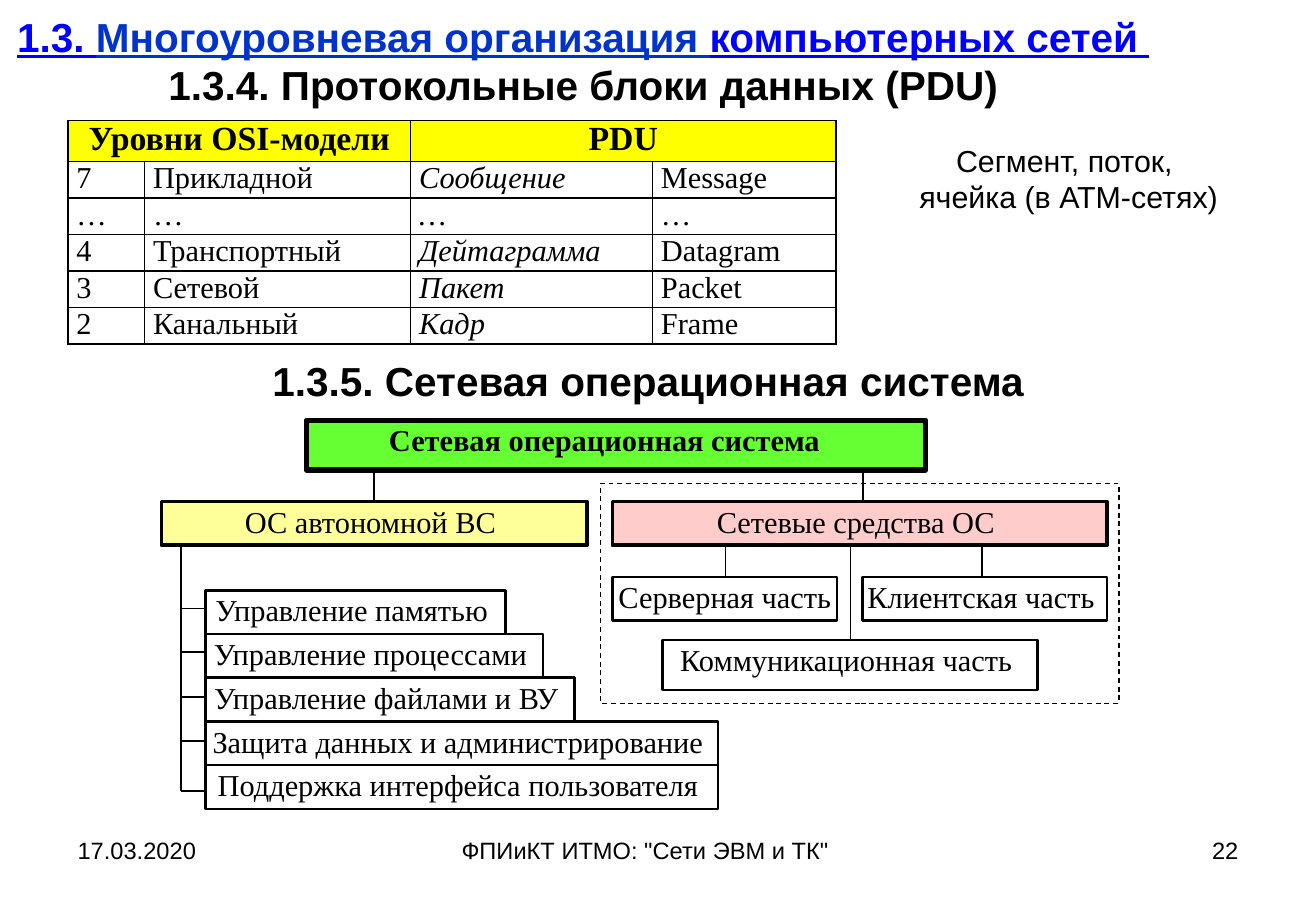
from lxml import etree
from pptx import Presentation
from pptx import util as u
from pptx.dml.color import RGBColor
from pptx.enum import dml, shapes, text
from pptx.oxml.ns import qn

SERIF = "Times New Roman"
LEFT, MID, RIGHT = text.PP_ALIGN.LEFT, text.PP_ALIGN.CENTER, text.PP_ALIGN.RIGHT


def rgb(code):
    return RGBColor.from_string(code)


def write(para, words, size, face="Arial", code="000000", bold=False, align=None):
    """Add one run to a paragraph and return its font."""
    if align is not None:
        para.alignment = align
    run = para.add_run()
    run.text = words
    font = run.font
    font.size, font.name, font.bold = u.Pt(size), face, bold
    font.color.rgb = rgb(code)
    return font


deck = Presentation()
deck.slide_width, deck.slide_height = u.Inches(10.83), u.Inches(7.5)
slide = deck.slides.add_slide(deck.slide_layouts[5])
items = slide.shapes

# Title
title = items.title
title.left, title.top = u.Inches(0), u.Inches(0.01)
title.width, title.height = u.Inches(9.6), u.Inches(0.97)
frame = title.text_frame
frame.auto_size = text.MSO_AUTO_SIZE.NONE
frame.vertical_anchor = text.MSO_ANCHOR.MIDDLE
head = frame.paragraphs[0]
for words, code in [
    ("1.3. ", "0000FF"),
    ("Многоуровневая организация ", "0033CC"),
    ("компьютерных сетей ", "0000FF"),
]:
    write(head, words, 24, code=code, bold=True, align=MID).underline = True
head.add_line_break()
write(head, "1.3.4. Протокольные блоки данных (PDU)", 24, bold=True).underline = False

# Plain text: place, lines, size, bold, alignment
for place, lines, size, bold, align in [
    ((0.54, 6.83, 2.53, 0.52), ["17.03.2020"], 14, False, LEFT),
    ((3.7, 6.83, 3.43, 0.52), ['ФПИиКТ ИТМО: "Сети ЭВМ и ТК"'], 14, False, LEFT),
    ((7.76, 6.83, 2.53, 0.52), ["22"], 14, False, RIGHT),
    ((7.36, 1.12, 2.87, 0.71), ["Сегмент, поток, ", "ячейка (в АТМ-сетях)"], 18, False, MID),
    ((2.11, 2.88, 6.45, 0.5), ["1.3.5. Сетевая операционная система"], 24, True, MID),
]:
    frame = items.add_textbox(*map(u.Inches, place)).text_frame
    frame.word_wrap = True
    for i, words in enumerate(lines):
        para = frame.add_paragraph() if i else frame.paragraphs[0]
        write(para, words, size, bold=bold, align=align)

# Table of PDU names
rows = [
    ("Уровни OSI-модели", "", "PDU", ""),
    ("7", "Прикладной", "Сообщение", "Message"),
    ("…", "…", "…", "…"),
    ("4", "Транспортный", "Дейтаграмма", "Datagram"),
    ("3", "Сетевой", "Пакет", "Packet"),
    ("2", "Канальный", "Кадр", "Frame"),
]
table = items.add_table(6, 4, *map(u.Inches, (0.56, 0.99, 6.32, 1.74))).table
table.horz_banding = False
for col, width in zip(table.columns, (0.63, 2.19, 1.99, 1.51)):
    col.width = u.Inches(width)
for r, row in enumerate(rows):
    table.rows[r].height = u.Inches(0.28 if r else 0.34)
    for c, words in enumerate(row):
        cell = table.cell(r, c)
        cell.margin_left = cell.margin_right = u.Inches(0.07)
        cell.margin_top = cell.margin_bottom = 0
        props = cell._tc.get_or_add_tcPr()
        for side in ("lnL", "lnR", "lnT", "lnB"):
            edge = etree.SubElement(props, qn("a:" + side), w=str(u.Pt(1)))
            paint = etree.SubElement(edge, qn("a:solidFill"))
            etree.SubElement(paint, qn("a:srgbClr"), val="000000")
        if r:
            cell.fill.background()
        else:
            cell.fill.solid()
            cell.fill.fore_color.rgb = rgb("FFFF00")
        if words:
            font = write(cell.text_frame.paragraphs[0], words, 18 if r else 20, SERIF,
                         bold=r == 0, align=LEFT if r else MID)
            font.italic = r > 0 and c == 2
for c in (0, 2):
    table.cell(0, c).merge(table.cell(0, c + 1))

# Boxes: words, place, fill, line width, side inset
boxes = [
    ("Сетевая операционная система", (2.52, 3.46, 5.1, 0.41), "66FF33", 3, 0.06),
    ("ОС автономной ВС ", (1.33, 4.13, 3.5, 0.36), "FFFF99", 2.25, 0.06),
    ("Сетевые средства ОС ", (5.04, 4.13, 4.07, 0.36), "FFCCCC", 2.25, 0.06),
    ("Серверная часть ", (5.04, 4.75, 1.85, 0.36), "FFFFFF", 1.5, 0.02),
    ("Клиентская часть ", (7.1, 4.75, 2.01, 0.36), "FFFFFF", 1.5, 0.02),
    ("Коммуникационная часть ", (5.45, 5.27, 3.09, 0.41), "FFFFFF", 1.5, 0.06),
]
tasks = [
    ("Управление памятью ", 2.47),
    ("Управление процессами ", 2.78),
    ("Управление файлами и ВУ ", 3.04),
    ("Защита данных и администрирование ", 4.22),
    ("Поддержка интерфейса пользователя ", 4.22),
]
for i, (words, width) in enumerate(tasks):
    boxes.append((words, (1.69, 4.86 + 0.36 * i, width, 0.36), "FFFFFF", 1.5, 0.02))
boxes.append(("", (4.94, 3.98, 4.27, 1.81), None, 0.75, 0))

for words, place, code, line, inset in boxes:
    box = items.add_shape(shapes.MSO_SHAPE.RECTANGLE, *map(u.Inches, place))
    box.shadow.inherit = False
    box.line.color.rgb = rgb("000000")
    box.line.width = u.Pt(line)
    if code is None:
        box.fill.background()
        box.line.dash_style = dml.MSO_LINE.DASH
        continue
    box.fill.solid()
    box.fill.fore_color.rgb = rgb(code)
    root = line == 3
    frame = box.text_frame
    frame.word_wrap = True
    frame.vertical_anchor = text.MSO_ANCHOR.TOP
    frame.margin_left = u.Inches(inset)
    frame.margin_right = u.Inches(0.25 if root else inset)
    frame.margin_top = frame.margin_bottom = u.Inches(0.01)
    write(frame.paragraphs[0], words, 18, SERIF, bold=root, align=MID)

# Links between boxes
links = [
    (3.08, 3.87, 3.08, 4.13),
    (7.1, 3.87, 7.1, 4.13),
    (7, 4.49, 7, 5.27),
    (5.97, 4.49, 5.97, 4.75),
    (8.08, 4.49, 8.08, 4.75),
    (1.49, 4.49, 1.49, 6.51),
]
links += [(1.49, y, 1.69, y) for y in (5.01, 5.37, 5.74, 6.1, 6.51)]
for ends in links:
    link = items.add_connector(shapes.MSO_CONNECTOR.STRAIGHT, *map(u.Inches, ends))
    link.line.color.rgb = rgb("000000")
    link.line.width = u.Pt(1)
    etree.SubElement(link._element.spPr, qn("a:effectLst"))

deck.save("out.pptx")
